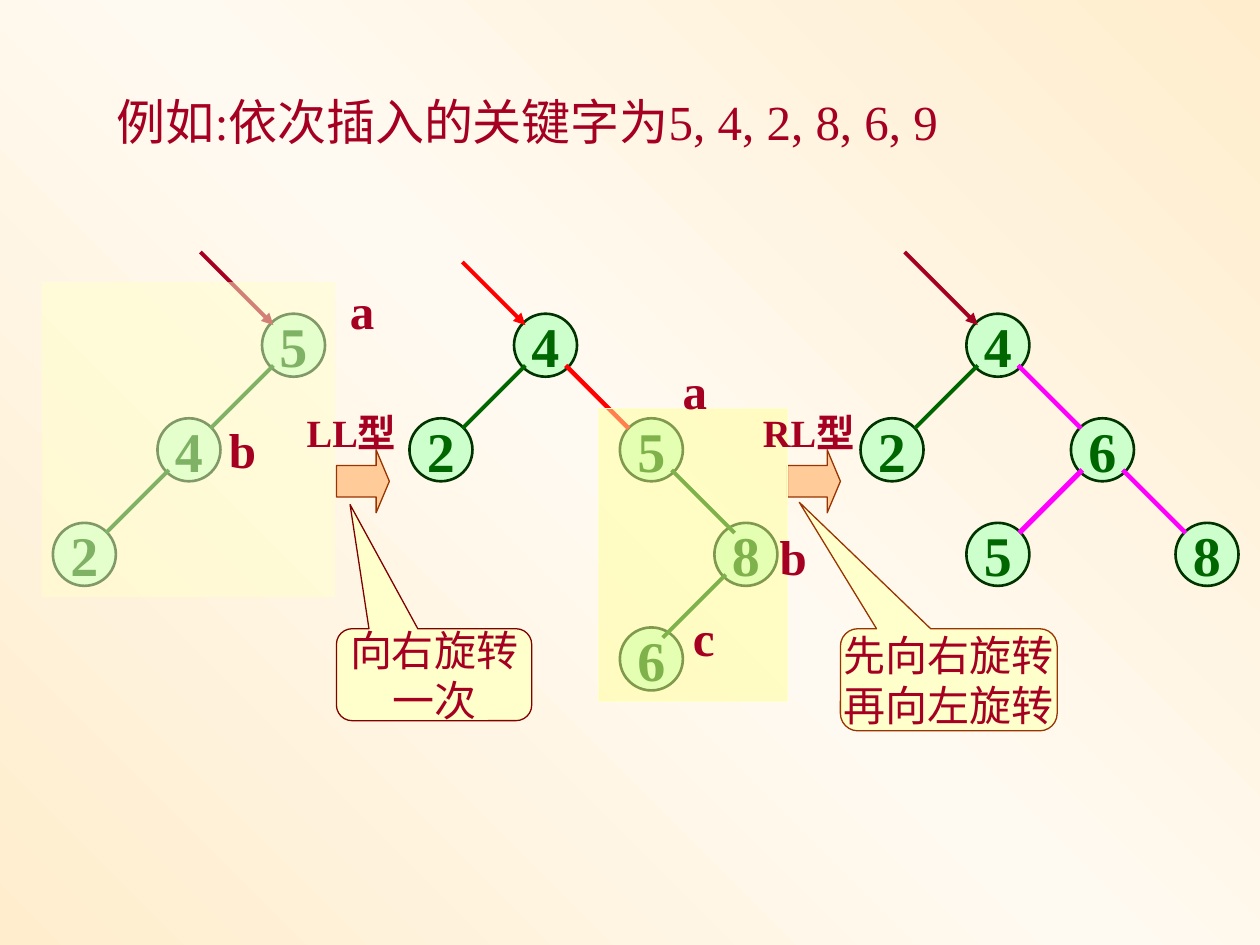
from copy import deepcopy

from lxml import etree
from pptx import Presentation
from pptx.dml.color import RGBColor
from pptx.enum.shapes import MSO_CONNECTOR, MSO_SHAPE
from pptx.enum.text import MSO_ANCHOR, PP_ALIGN
from pptx.oxml.ns import qn
from pptx.util import Inches, Pt

STRAIGHT = MSO_CONNECTOR.STRAIGHT
OVAL, RECTANGLE = MSO_SHAPE.OVAL, MSO_SHAPE.RECTANGLE
RIGHT_ARROW = MSO_SHAPE.RIGHT_ARROW
CALLOUT = MSO_SHAPE.ROUNDED_RECTANGULAR_CALLOUT
CENTER, LEFT_ALIGN, MIDDLE = PP_ALIGN.CENTER, PP_ALIGN.LEFT, MSO_ANCHOR.MIDDLE

THEME = {
    "font": "Times New Roman",
    "background": ("FFEDCD", "FFFAF1", "FFEDCD"),
    "crimson": "A50021", "red": "FF0000", "magenta": "FF00FF",
    "green": "006600", "dark_green": "003300", "mint": "CCFFCC",
    "orange": "FFCC99", "brown": "993300", "maroon": "800000",
    "cream": "FFFFCC", "yellow": "FFFF99",
    "title": 28, "key": 32, "letter": 28, "rotation": 22, "note": 24,
}

TITLE = ("例如:依次插入的关键字为5, 4, 2, 8, 6, 9", (0.83, 0.68, 6.73, 0.57))

# Nodes are (key, centre x, level); edges are (parent, side, colour, width),
# with side -1 for the left child and 1 for the right child.
TREES = [
    {"nodes": [("5", 2.33, 0), ("4", 1.5, 1), ("2", 0.67, 2)],
     "edges": [("5", -1, "green", 2.25), ("4", -1, "green", 2.25)],
     "root_pointer": ("crimson", 0.58)},
    {"nodes": [("4", 4.33, 0), ("2", 3.5, 1), ("5", 5.17, 1),
               ("8", 5.92, 2), ("6", 5.17, 3)],
     "edges": [("4", -1, "green", 2.25), ("4", 1, "red", 2.5),
               ("5", 1, "green", 2.25), ("8", -1, "green", 2.25)],
     "root_pointer": ("red", 0.5)},
    {"nodes": [("4", 7.92, 0), ("2", 7.08, 1), ("6", 8.75, 1),
               ("5", 7.92, 2), ("8", 9.58, 2)],
     "edges": [("4", -1, "green", 2.25), ("4", 1, "magenta", 2.5),
               ("6", -1, "magenta", 3), ("6", 1, "magenta", 2.5)],
     "root_pointer": ("crimson", 0.58)},
]
ROOT_Y, LEVEL_GAP, NODE_SIZE = 2.74, 0.83, 0.5
RIM_OFFSET, EDGE_SPAN = 0.16, 0.5

ROTATION_ARROWS = [(2.67, 3.57, 0.42, 0.5), (6.25, 3.57, 0.42, 0.5)]
VEILS = [((4.75, 3.24, 1.5, 2.33), "yellow", "cream"),
         ((0.33, 2.24, 2.33, 2.5), "cream", None)]
CALLOUTS = [
    (("向右旋转", "一次"), (2.67, 4.99, 1.55, 0.73), (-0.43, -1.85, 0.17), "maroon"),
    (("先向右旋转", "再向左旋转"), (6.67, 4.99, 1.72, 0.81), (-0.69, -1.74, 0.17), "brown"),
]
LABELS = [
    ("LL型", (2.32, 3.2, 0.94, 0.47), "rotation"),
    ("RL型", (5.95, 3.2, 0.94, 0.47), "rotation"),
    ("a", (2.56, 2.18, 0.63, 0.57), "letter"),
    ("a", (5.24, 2.81, 0.55, 0.57), "letter"),
    ("b", (1.61, 3.28, 0.63, 0.57), "letter"),
    ("b", (6.02, 4.13, 0.55, 0.57), "letter"),
    ("c", (5.31, 4.77, 0.55, 0.57), "letter"),
]


def color(name):
    return RGBColor.from_string(THEME[name])


def paint_background(slide):
    fill = slide.background.fill
    fill.gradient()
    fill.gradient_angle = 45
    last_stop = slide.background._cSld.findall(".//" + qn("a:gs"))[-1]
    last_stop.addnext(deepcopy(last_stop))
    for stop, position, value in zip(fill.gradient_stops, (0, 0.5, 1), THEME["background"]):
        stop.position = position
        stop.color.rgb = RGBColor.from_string(value)


def set_text(shape, lines, size, ink="crimson", bold=False, align=CENTER, wrap=True):
    frame = shape.text_frame
    frame.text = "\n".join(lines)
    frame.word_wrap = wrap
    for paragraph in frame.paragraphs:
        paragraph.alignment = align
        for run in paragraph.runs:
            run.font.name = THEME["font"]
            run.font.size = Pt(THEME[size])
            run.font.bold = bold
            run.font.color.rgb = color(ink)


def add_text(slide, text, box, size, **style):
    text_box = slide.shapes.add_textbox(*map(Inches, box))
    set_text(text_box, [text], size, **style)


def add_figure(slide, kind, box, fill, line=None, width=0.75):
    shape = slide.shapes.add_shape(kind, *map(Inches, box))
    shape.shadow.inherit = False
    shape.fill.solid()
    shape.fill.fore_color.rgb = color(fill)
    if line:
        shape.line.color.rgb = color(line)
        shape.line.width = Pt(width)
    else:
        shape.line.fill.background()
    return shape


def add_line(slide, start, end, ink, width, arrow=False):
    connector = slide.shapes.add_connector(STRAIGHT, *map(Inches, (*start, *end)))
    connector.line.color.rgb = color(ink)
    connector.line.width = Pt(width)
    if arrow:
        etree.SubElement(connector.line._get_or_add_ln(), qn("a:tailEnd"), type="triangle")
    etree.SubElement(connector._element.spPr, qn("a:effectLst"))


def add_tree(slide, tree):
    centres = {}
    for key, x, level in tree["nodes"]:
        y = ROOT_Y + level * LEVEL_GAP
        centres[key] = (x, y)
        box = (x - NODE_SIZE / 2, y - NODE_SIZE / 2, NODE_SIZE, NODE_SIZE)
        node = add_figure(slide, OVAL, box, "mint", "dark_green", 1.5)
        set_text(node, [key], "key", ink="green", bold=True, wrap=False)
        node.text_frame.vertical_anchor = MIDDLE
    for parent, side, ink, width in tree["edges"]:
        x, y = centres[parent]
        start = (x + side * RIM_OFFSET, y + RIM_OFFSET)
        end = (start[0] + side * EDGE_SPAN, start[1] + EDGE_SPAN)
        add_line(slide, start, end, ink, width)
    ink, span = tree["root_pointer"]
    root = centres[tree["nodes"][0][0]]
    tip = [value - RIM_OFFSET for value in root]
    add_line(slide, [value - span for value in tip], tip, ink, 2.25, arrow=True)


def add_veil(slide, box, fill, line):
    """Add a half-transparent rectangle that dims the nodes being rotated."""
    veil = add_figure(slide, RECTANGLE, box, fill, line)
    fill_color = veil._element.spPr.find(qn("a:solidFill")).find(qn("a:srgbClr"))
    etree.SubElement(fill_color, qn("a:alpha"), val="50000")


def add_callout(slide, lines, box, adjustments, line):
    callout = add_figure(slide, CALLOUT, box, "cream", line)
    for index, value in enumerate(adjustments):
        callout.adjustments[index] = value
    set_text(callout, lines, "note", wrap=False)
    callout.text_frame.vertical_anchor = MIDDLE


def main():
    presentation = Presentation()
    presentation.slide_width, presentation.slide_height = Inches(10), Inches(7.5)
    slide = presentation.slides.add_slide(presentation.slide_layouts[6])
    paint_background(slide)
    add_text(slide, *TITLE, "title", align=LEFT_ALIGN)
    for tree in TREES:
        add_tree(slide, tree)
    for box in ROTATION_ARROWS:
        arrow = add_figure(slide, RIGHT_ARROW, box, "orange", "brown")
        arrow.adjustments[0], arrow.adjustments[1] = 0.5, 0.25
    for veil in VEILS:
        add_veil(slide, *veil)
    for callout in CALLOUTS:
        add_callout(slide, *callout)
    for text, box, size in LABELS:
        add_text(slide, text, box, size, bold=True)
    presentation.save("out.pptx")


if __name__ == "__main__":
    main()
